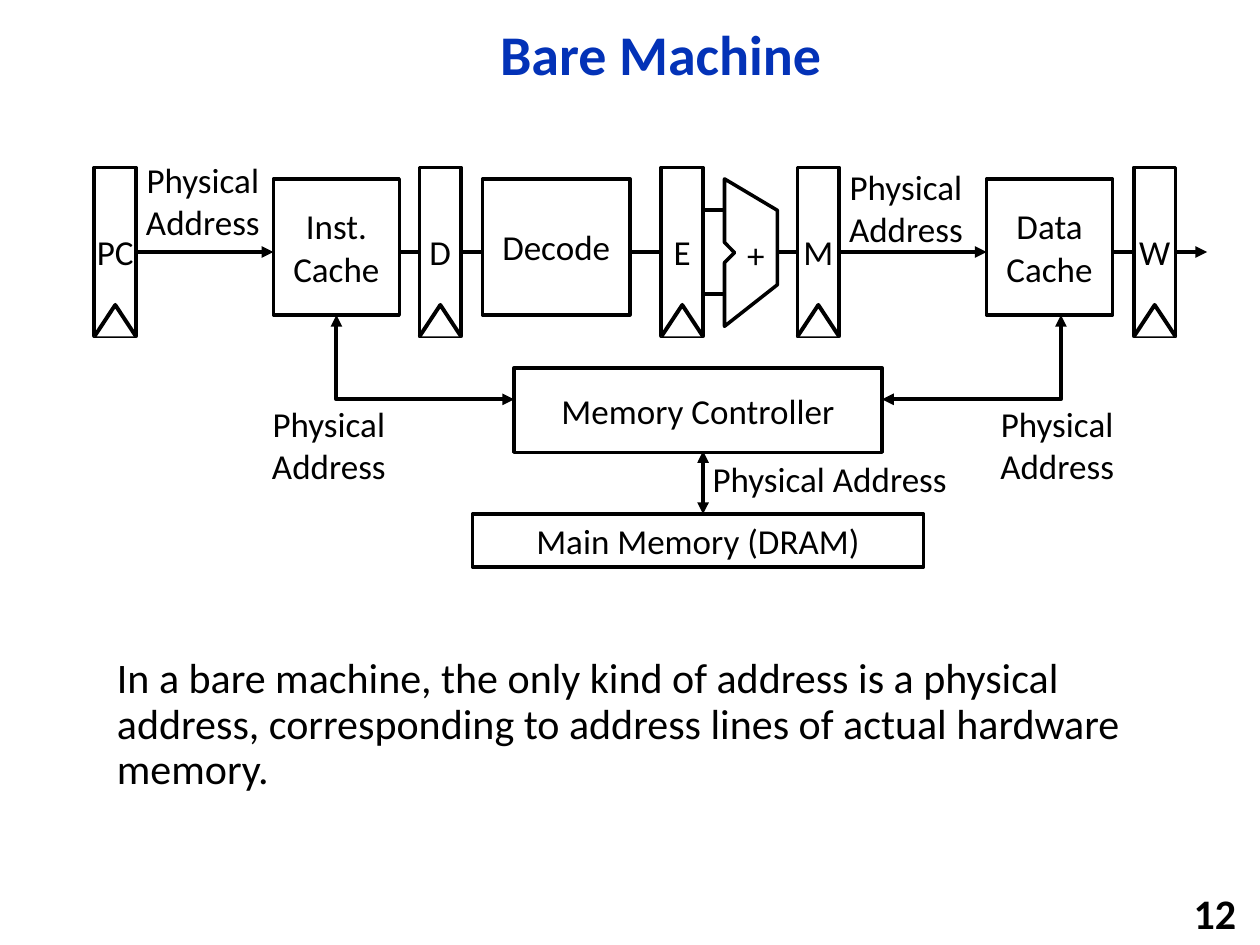
import dataclasses

import pptx
import pptx.dml.color
import pptx.enum.shapes
import pptx.enum.text
import pptx.oxml.ns
import pptx.util
from lxml import etree

Inches = pptx.util.Inches
Align = pptx.enum.text.PP_ALIGN
Anchor = pptx.enum.text.MSO_ANCHOR


@dataclasses.dataclass(frozen=True)
class Theme:
    font: str = "Calibri"
    ink: str = "000000"
    paper: str = "FFFFFF"
    accent: str = "0332B7"
    title_size: float = 32
    body_size: float = 24
    label_size: float = 20
    block_line: float = 2
    wire_line: float = 2.25


THEME = Theme()


@dataclasses.dataclass(frozen=True)
class Box:
    left: float
    top: float
    width: float
    height: float

    def inner(self, left, top, width, height):
        return Box(self.left + left, self.top + top, width, height)

    def point(self, x, y):
        return Inches(self.left + x), Inches(self.top + y)

    def lengths(self):
        return [Inches(value) for value in (self.left, self.top, self.width, self.height)]


def color(value):
    return pptx.dml.color.RGBColor.from_string(value)


def write(shape, text, size=THEME.label_size, ink=THEME.ink, bold=False,
          align=Align.CENTER, anchor=Anchor.MIDDLE, wrap=True, spacing=1.0):
    frame = shape.text_frame
    frame.text = text
    frame.word_wrap = wrap
    frame.vertical_anchor = anchor
    para = frame.paragraphs[0]
    para.alignment = align
    para.line_spacing = spacing
    for span in para.runs:
        span.font.name = THEME.font
        span.font.size = pptx.util.Pt(size)
        span.font.bold = bold
        span.font.color.rgb = color(ink)


def add_text(page, box, text, **style):
    shape = page.shapes.add_textbox(*box.lengths())
    write(shape, text, **style)
    return shape


def outline(shape, width):
    shape.line.color.rgb = color(THEME.ink)
    shape.line.width = pptx.util.Pt(width)


def add_arrowheads(shape, head, tail):
    line = shape.line._get_or_add_ln()
    for wanted, tag in ((head, "a:headEnd"), (tail, "a:tailEnd")):
        if wanted:
            etree.SubElement(line, pptx.oxml.ns.qn(tag), type="triangle")


def add_block(page, box, text, width=THEME.block_line, wrap=True):
    shape = page.shapes.add_shape(
        pptx.enum.shapes.MSO_SHAPE.RECTANGLE, *box.lengths())
    shape.shadow.inherit = False
    shape.fill.solid()
    shape.fill.fore_color.rgb = color(THEME.paper)
    outline(shape, width)
    write(shape, text, wrap=wrap)
    return shape


def add_outline(page, box, points, width=THEME.wire_line, close=False, filled=True):
    start, *rest = [box.point(x, y) for x, y in points]
    builder = page.shapes.build_freeform(*start)
    builder.add_line_segments(rest, close=close)
    shape = builder.convert_to_shape()
    shape.shadow.inherit = False
    if filled:
        shape.fill.solid()
        shape.fill.fore_color.rgb = color(THEME.paper)
    else:
        shape.fill.background()
    outline(shape, width)
    return shape


def add_wire(page, box, start, end, head=False, tail=False):
    wire = page.shapes.add_connector(
        pptx.enum.shapes.MSO_CONNECTOR.STRAIGHT, *box.point(*start), *box.point(*end))
    outline(wire, THEME.wire_line)
    add_arrowheads(wire, head, tail)
    etree.SubElement(wire._element.spPr, pptx.oxml.ns.qn("a:effectLst"))
    return wire


def add_register(page, box, name):
    block = add_block(page, box, name, THEME.wire_line, wrap=False)
    add_outline(page, box, [(0, box.height), (box.width / 2, box.height - 0.25),
                            (box.width, box.height)])
    return block


def add_adder(page, box):
    notch, middle = 0.08, box.height / 2
    add_outline(page, box, [
        (0, 0), (0, middle - notch), (notch, middle), (0, middle + notch),
        (0, box.height), (box.width, box.height - 0.33), (box.width, 0.25),
    ], THEME.block_line, close=True)
    add_text(page, box.inner(0.08, 0.38, 0.34, 0.44), "+", wrap=False)


def add_pipeline(page, box):
    middle = box.height / 2
    add_wire(page, box, (5.42, middle), (7.08, middle), tail=True)
    add_wire(page, box, (8.08, middle), (8.83, middle), tail=True)
    decode_wire = add_wire(page, box, (2.42, middle), (4.5, middle))

    registers = {
        name: add_register(page, box.inner(left, 0, 0.33, box.height), name)
        for name, left in (("PC", 0), ("D", 2.58), ("E", 4.5), ("M", 5.58), ("W", 8.25))
    }
    for name, left, width in (("Inst. Cache", 1.42, 1), ("Decode", 3.08, 1.17),
                              ("Data Cache", 7.08, 1)):
        add_block(page, box.inner(left, 0.09, width, 1.08), name)
    add_adder(page, box.inner(5, 0.09, 0.42, 1.17))

    decode_wire.end_connect(registers["E"], 1)
    for offset in (-0.33, 0.33):
        add_wire(page, box, (4.83, middle + offset), (5, middle + offset))
    fetch_wire = add_wire(page, box, (0.33, middle), (1.42, middle), tail=True)
    fetch_wire.begin_connect(registers["PC"], 3)
    for left, top in ((0.25, -0.12), (5.83, -0.07)):
        add_text(page, box.inner(left, top, 1.22, 0.77), "Physical Address")


def add_memory(page, box):
    add_block(page, box.inner(1.75, 1.58, 3.58, 0.42), "Main Memory (DRAM)")
    add_block(page, box.inner(2.08, 0.42, 2.92, 0.67), "Memory Controller")
    for cache, controller in ((6.42, 5), (0.67, 2.08)):
        link = add_outline(page, box, [(cache, 0), (cache, 0.67), (controller, 0.67)],
                           filled=False)
        add_arrowheads(link, True, True)
    add_wire(page, box, (3.58, 1.08), (3.58, 1.58), head=True, tail=True)
    for left, top, width, height in ((5.78, 0.64, 1.22, 0.77), (0, 0.64, 1.22, 0.77),
                                     (3.25, 1.08, 2.67, 0.44)):
        add_text(page, box.inner(left, top, width, height), "Physical Address")


def add_title(page, box):
    title = page.shapes.title
    title.left, title.top, title.width, title.height = box.lengths()
    write(title, "Bare Machine", THEME.title_size, THEME.accent, bold=True, spacing=0.9)


def add_note(page, box):
    add_text(page, box,
             "In a bare machine, the only kind of address is a physical address, "
             "corresponding to address lines of actual hardware memory.",
             size=THEME.body_size, align=Align.LEFT, anchor=Anchor.TOP, spacing=0.9)


def add_page_number(page, box):
    add_text(page, box, "12", size=THEME.body_size, bold=True, align=Align.RIGHT)


def main():
    deck = pptx.Presentation()
    deck.slide_width, deck.slide_height = Inches(10), Inches(7.5)
    page = deck.slides.add_slide(deck.slide_layouts[5])
    add_title(page, Box(1.33, 0.08, 7.83, 0.75))
    add_pipeline(page, Box(0.75, 1.33, 8.83, 1.34))
    add_memory(page, Box(2, 2.5, 7, 2))
    add_note(page, Box(0.83, 5.17, 8.4, 1.5))
    add_page_number(page, Box(7.83, 7.08, 2.08, 0.32))
    deck.save("out.pptx")


if __name__ == "__main__":
    main()
